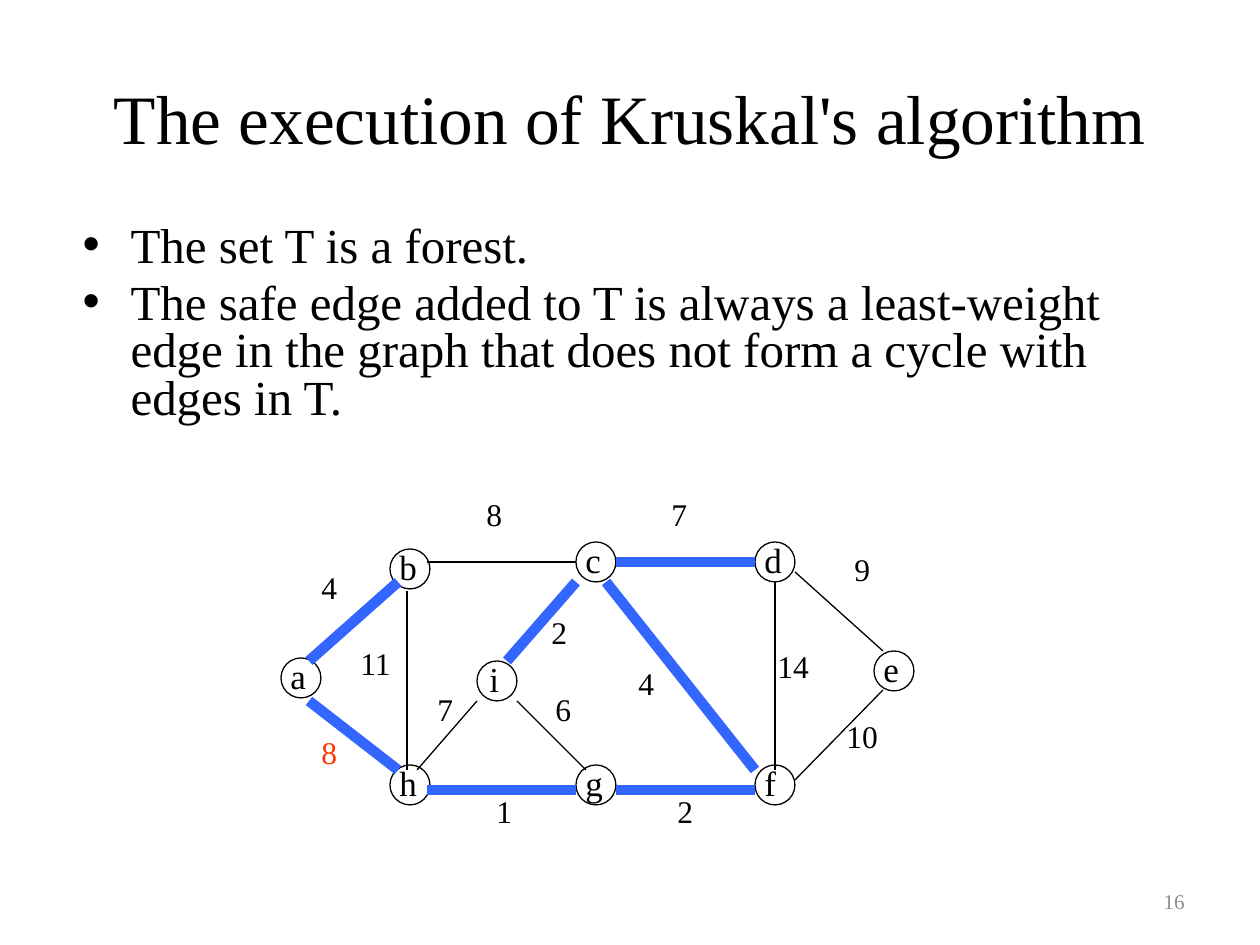
"""Builds a slide on the execution of Kruskal's algorithm with its weighted graph."""
from lxml import etree
from pptx import Presentation
from pptx.dml.color import RGBColor
from pptx.enum.shapes import MSO_CONNECTOR, MSO_SHAPE
from pptx.enum.text import MSO_ANCHOR, MSO_AUTO_SIZE, PP_ALIGN
from pptx.oxml.ns import qn
from pptx.util import Pt

STRAIGHT = MSO_CONNECTOR.STRAIGHT
OVAL = MSO_SHAPE.OVAL
MIDDLE = MSO_ANCHOR.MIDDLE
NO_AUTOFIT = MSO_AUTO_SIZE.NONE
LEFT, CENTER, RIGHT = PP_ALIGN.LEFT, PP_ALIGN.CENTER, PP_ALIGN.RIGHT

FONT = "Times New Roman"
COLORS = {"ink": "000000", "tree": "3366FF", "current": "FF3300", "number": "8C8C8C"}
SCALE = 914400 / 126
NODE_SIZE = 40

TITLE = "The execution of Kruskal's algorithm"
BULLETS = [
    "The set T is a forest.",
    "The safe edge added to T is always a least-weight edge in the graph "
    "that does not form a cycle with edges in T.",
]
SLIDE_NUMBER = "16"

NODES = {
    "a": (281, 658), "b": (390, 549), "h": (390, 765),
    "c": (576, 542), "d": (755, 542), "e": (874, 651),
    "f": (755, 765), "g": (576, 765), "i": (477, 661),
}
TREE_EDGES = [
    (309, 661, 398, 582), (309, 701, 398, 770), (427, 790, 576, 790),
    (616, 790, 755, 790), (606, 582, 755, 770), (616, 562, 755, 562),
    (507, 661, 576, 582),
]
OTHER_EDGES = [
    (407, 591, 407, 770), (427, 562, 576, 562), (775, 582, 775, 770),
    (795, 572, 883, 651), (795, 780, 883, 690), (517, 701, 586, 770),
    (417, 770, 477, 701),
]
WEIGHTS = [
    ("4", 309, 562, "ink"), ("8", 474, 489, "ink"), ("7", 659, 489, "ink"),
    ("9", 842, 544, "ink"), ("10", 834, 711, "ink"), ("14", 765, 641, "ink"),
    ("4", 626, 658, "ink"), ("2", 539, 607, "ink"), ("2", 665, 786, "ink"),
    ("6", 543, 684, "ink"), ("1", 484, 786, "ink"), ("7", 425, 684, "ink"),
    ("11", 348, 638, "ink"), ("8", 309, 727, "current"),
]


def px(*lengths):
    return [round(length * SCALE) for length in lengths]


def place(shape, *bounds):
    shape.left, shape.top, shape.width, shape.height = px(*bounds)


def style(para, size, color="ink", align=LEFT):
    para.alignment = align
    for span in para.runs:
        span.font.name = FONT
        span.font.size = Pt(size)
        span.font.color.rgb = RGBColor.from_string(COLORS[color])


def add_label(page, text, bounds, size, color="ink", align=LEFT):
    frame = page.shapes.add_textbox(*px(*bounds)).text_frame
    frame.word_wrap = True
    frame.text = text
    style(frame.paragraphs[0], size, color, align)
    return frame


def add_node(page, name, left, top):
    shift = 0 if name == "i" else -3
    add_label(page, name, (left + shift, top - 10, 43, 54), 20)
    circle = page.shapes.add_shape(OVAL, *px(left, top, NODE_SIZE, NODE_SIZE))
    circle.shadow.inherit = False
    circle.fill.background()
    circle.line.color.rgb = RGBColor.from_string(COLORS["ink"])
    circle.line.width = Pt(0.75)


def add_edge(page, ends, color, width):
    edge = page.shapes.add_connector(STRAIGHT, *px(*ends))
    edge.line.color.rgb = RGBColor.from_string(COLORS[color])
    edge.line.width = Pt(width)
    etree.SubElement(edge._element.spPr, qn("a:effectLst"))


def add_heading(page):
    title = page.shapes.title
    place(title, 63, 38, 1134, 157)
    title.text_frame.text = TITLE
    title.text_frame.auto_size = NO_AUTOFIT
    title.text_frame.vertical_anchor = MIDDLE
    style(title.text_frame.paragraphs[0], 39.6, align=CENTER)


def add_bullets(page):
    body = page.placeholders[1]
    place(body, 63, 220, 1134, 624)
    frame = body.text_frame
    frame.text = "\n".join(BULLETS)
    frame.auto_size = NO_AUTOFIT
    margin, hanging = px(55, -48)
    for index, para in enumerate(frame.paragraphs):
        properties = para._p.get_or_add_pPr()
        properties.set("marL", str(margin))
        properties.set("indent", str(hanging))
        para.line_spacing = 0.8
        para.space_before = Pt(5.6 if index else 0)
        style(para, 28)


def main():
    deck = Presentation()
    deck.slide_width, deck.slide_height = px(1260, 945)
    page = deck.slides.add_slide(deck.slide_layouts[1])
    add_heading(page)
    add_bullets(page)
    number = add_label(page, SLIDE_NUMBER, (903, 876, 294, 50), 12, "number", RIGHT)
    number.vertical_anchor = MIDDLE
    for name, (left, top) in NODES.items():
        add_node(page, name, left, top)
    for ends in TREE_EDGES:
        add_edge(page, ends, "tree", 6)
    for ends in OTHER_EDGES:
        add_edge(page, ends, "ink", 0.75)
    for text, left, top, color in WEIGHTS:
        add_label(page, text, (left, top, 27 + 20 * len(text), 63), 18, color)
    deck.save("out.pptx")


if __name__ == "__main__":
    main()
